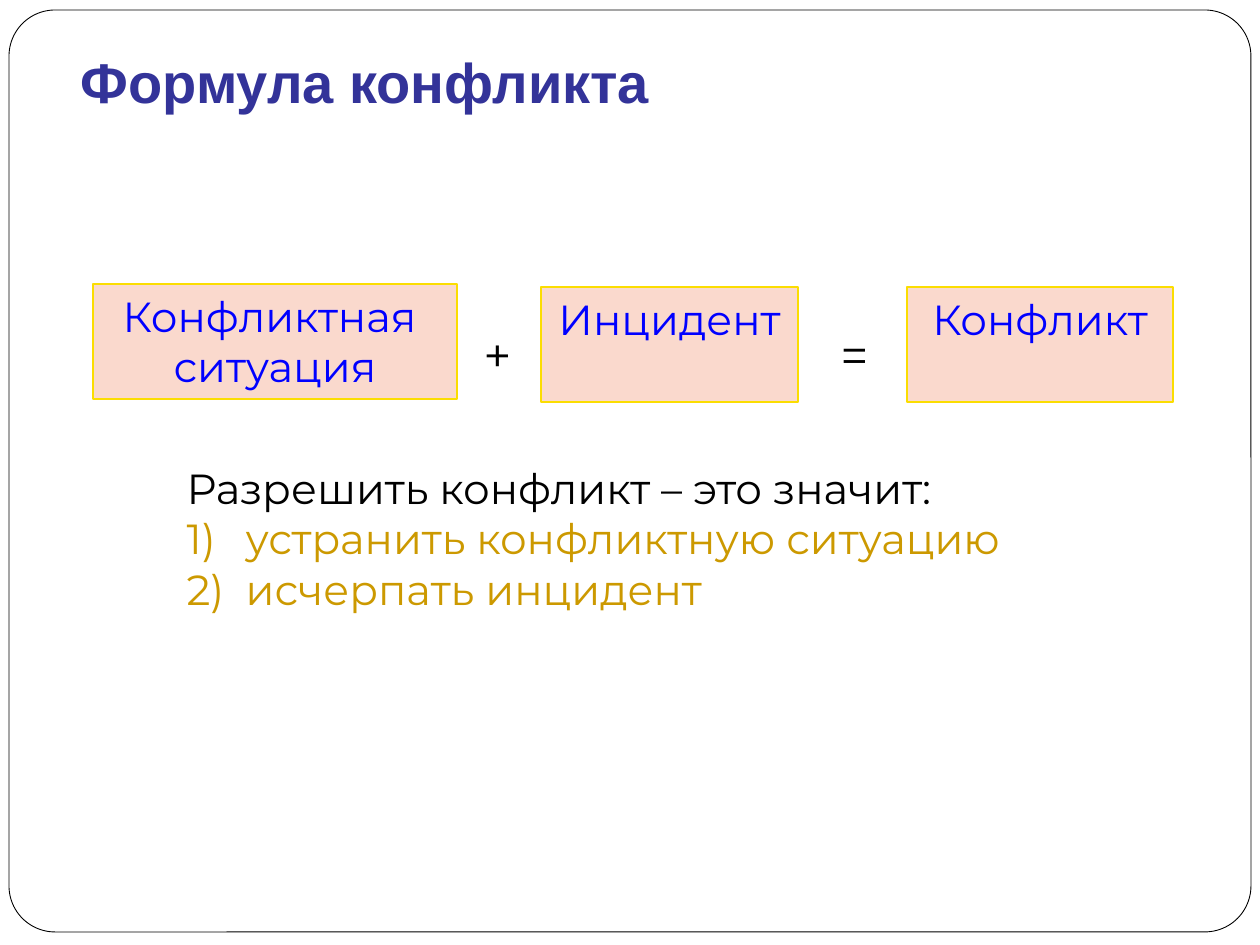
from pptx import Presentation
from pptx.dml.color import RGBColor
from pptx.enum.shapes import MSO_SHAPE as Shape
from pptx.enum.text import MSO_ANCHOR as Anchor, MSO_AUTO_SIZE as Fit, PP_ALIGN as Align
from pptx.oxml.ns import qn
from pptx.util import Pt
from lxml.etree import SubElement

# Content: boxes and signs carry their place in px
TITLE = "Формула конфликта"
TERMS = [
    (["Конфликтная ", "ситуация"], (93, 284, 364, 115)),
    (["Инцидент"], (541, 287, 257, 115)),
    (["Конфликт"], (907, 287, 266, 115)),
]
SIGNS = [("+", (471, 318, 58, 72)), ("=", (828, 318, 67, 72))]
LEAD = "Разрешить конфликт – это значит:"
STEPS = [" устранить конфликтную ситуацию", " исчерпать инцидент"]

PX = 914400 // 126
INDENT = 48
FONT = "Montserrat"
WHITE = RGBColor(0xFF, 0xFF, 0xFF)
BLACK = RGBColor(0, 0, 0)
NAVY = RGBColor(0x33, 0x33, 0x99)
BLUE = RGBColor(0, 0, 0xFF)
PEACH = RGBColor(0xFA, 0xD9, 0xCD)
YELLOW = RGBColor(0xFB, 0xDD, 0x01)
GOLD = RGBColor(0xCC, 0x99, 0x00)


def scale(box):
    return [n * PX for n in box]


def place(shape, box):
    shape.left, shape.top, shape.width, shape.height = scale(box)


def write(shape, lines, size, color, align=Align.LEFT, font=FONT, bold=False):
    frame = shape.text_frame
    frame.auto_size = Fit.NONE
    for i, line in enumerate(lines):
        para = frame.add_paragraph() if i else frame.paragraphs[0]
        para.alignment = align
        para.space_before = Pt(0)
        run = para.add_run()
        run.text = line
        run.font.name, run.font.size, run.font.bold = font, Pt(size), bold
        run.font.color.rgb = color
    return frame


def draw(kind, box, fill, line, width):
    shape = slide.shapes.add_shape(kind, *scale(box))
    shape.shadow.inherit = False
    shape.fill.solid()
    shape.fill.fore_color.rgb = fill
    shape.line.color.rgb = line
    shape.line.width = Pt(width)
    return shape


def number(para, color):
    props = para._p.get_or_add_pPr()
    tint = SubElement(SubElement(props, qn("a:buClr")), qn("a:srgbClr"))
    tint.set("val", str(color))
    SubElement(props, qn("a:buFont")).set("typeface", FONT)
    SubElement(props, qn("a:buAutoNum")).set("type", "arabicParenR")


prs = Presentation()
prs.slide_width, prs.slide_height = 1260 * PX, 945 * PX
slide = prs.slides.add_slide(prs.slide_layouts[1])
title, body = slide.placeholders

# Frame, behind everything else
edge = draw(Shape.ROUNDED_RECTANGLE, (9, 10, 1242, 922), WHITE, BLACK, 0.5)
edge.adjustments[0] = 0.05
slide.shapes._spTree.insert(2, edge._element)

# Title
place(title, (68, 16, 794, 136))
frame = write(title, [TITLE], 32, NAVY, font="Arial", bold=True)
frame.vertical_anchor = Anchor.MIDDLE
frame.margin_bottom = 12 * PX

# Formula
for lines, box in TERMS:
    term = draw(Shape.RECTANGLE, box, PEACH, YELLOW, 0.75)
    frame = write(term, lines, 24, BLUE, Align.CENTER)
    frame.vertical_anchor = Anchor.TOP
    frame.word_wrap = False
for sign, box in SIGNS:
    text = slide.shapes.add_textbox(*scale(box))
    write(text, [sign], 28, BLACK).word_wrap = True

# Numbered steps under their lead line
place(body, (174, 456, 921, 165))
frame = write(body, [LEAD, *STEPS], 24, BLACK)
for para in frame.paragraphs:
    props = para._p.get_or_add_pPr()
    props.set("marL", str(INDENT * PX))
    props.set("indent", str(-INDENT * PX))
lead, *steps = frame.paragraphs
SubElement(lead._p.get_or_add_pPr(), qn("a:buNone"))
for para in steps:
    para.runs[0].font.color.rgb = GOLD
    number(para, GOLD)

prs.save("out.pptx")
